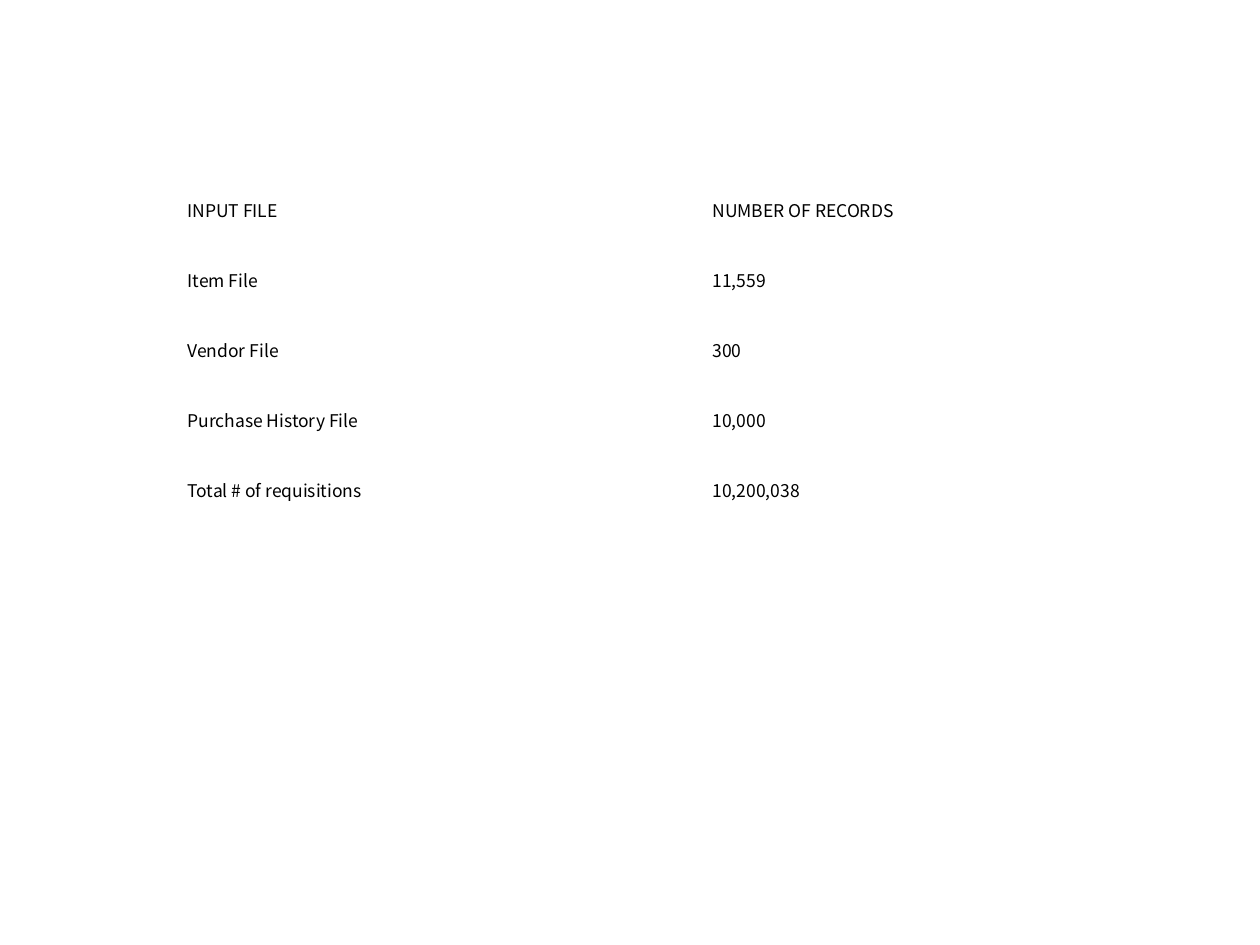
from pptx import Presentation
from pptx.dml.color import RGBColor
from pptx.enum.text import MSO_ANCHOR
from pptx.util import Emu, Pt

EMU_PER_PX = 914400 / 126
FONT = "Noto Sans CJK SC"

RECORD_COUNTS = [
    ("INPUT FILE", "NUMBER OF RECORDS"),
    ("Item File", "11,559"),
    ("Vendor File", "300"),
    ("Purchase History File", "10,000"),
    ("Total # of requisitions", "10,200,038"),
]


def px(length):
    return Emu(round(length * EMU_PER_PX))


def color(hex_code):
    return RGBColor.from_string(hex_code)


def add_record_table(slide, left, top, column_widths, row_height):
    row_count = len(RECORD_COUNTS)
    records = slide.shapes.add_table(
        row_count, len(column_widths), px(left), px(top),
        px(sum(column_widths)), px(row_height * row_count)).table
    records.first_row = False
    records.horz_banding = False

    # Grid
    for column, width in zip(records.columns, column_widths):
        column.width = px(width)
    for row in records.rows:
        row.height = px(row_height)

    # File names and their record counts
    for row, entries in zip(records.rows, RECORD_COUNTS):
        for cell, entry in zip(row.cells, entries):
            cell.text = entry
            cell.fill.background()
            cell.vertical_anchor = MSO_ANCHOR.MIDDLE
            font = cell.text_frame.paragraphs[0].font
            font.name = FONT
            font.size = Pt(10)
            font.color.rgb = color("000000")


def main():
    presentation = Presentation()
    presentation.slide_width = px(1260)
    presentation.slide_height = px(945)
    slide = presentation.slides.add_slide(presentation.slide_layouts[6])
    add_record_table(slide, 175, 175, column_widths=(525, 262), row_height=70)
    presentation.save("out.pptx")


if __name__ == "__main__":
    main()
